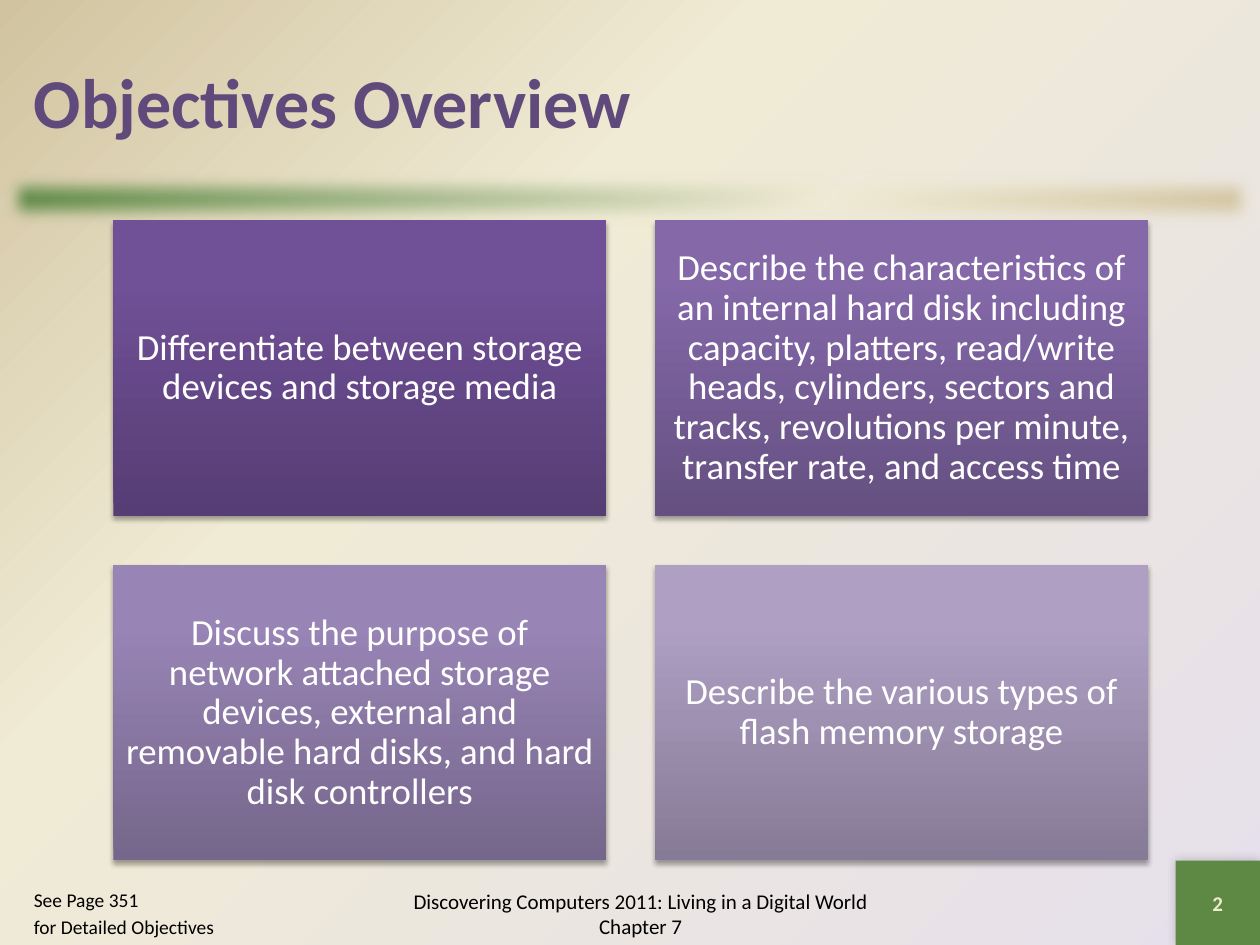
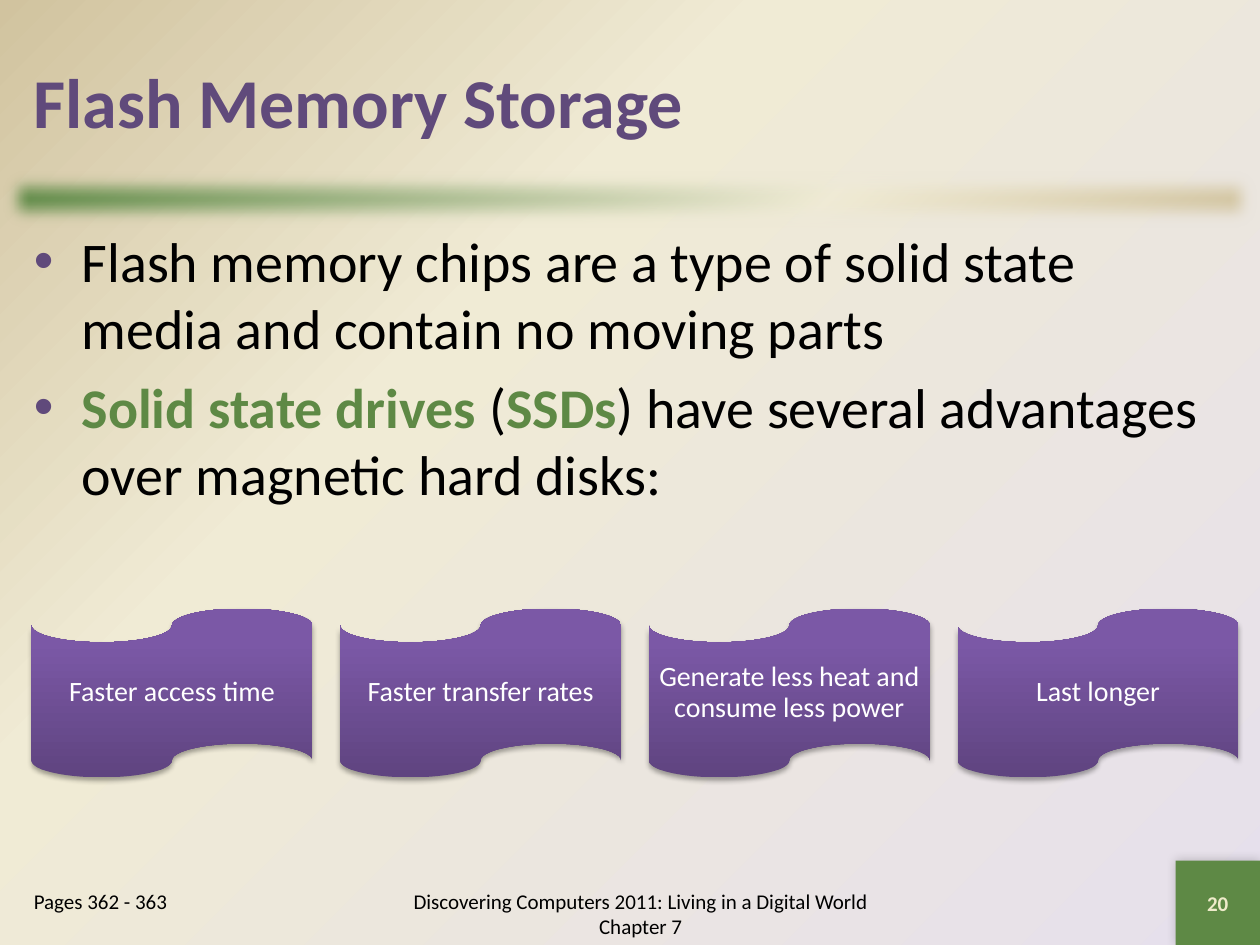
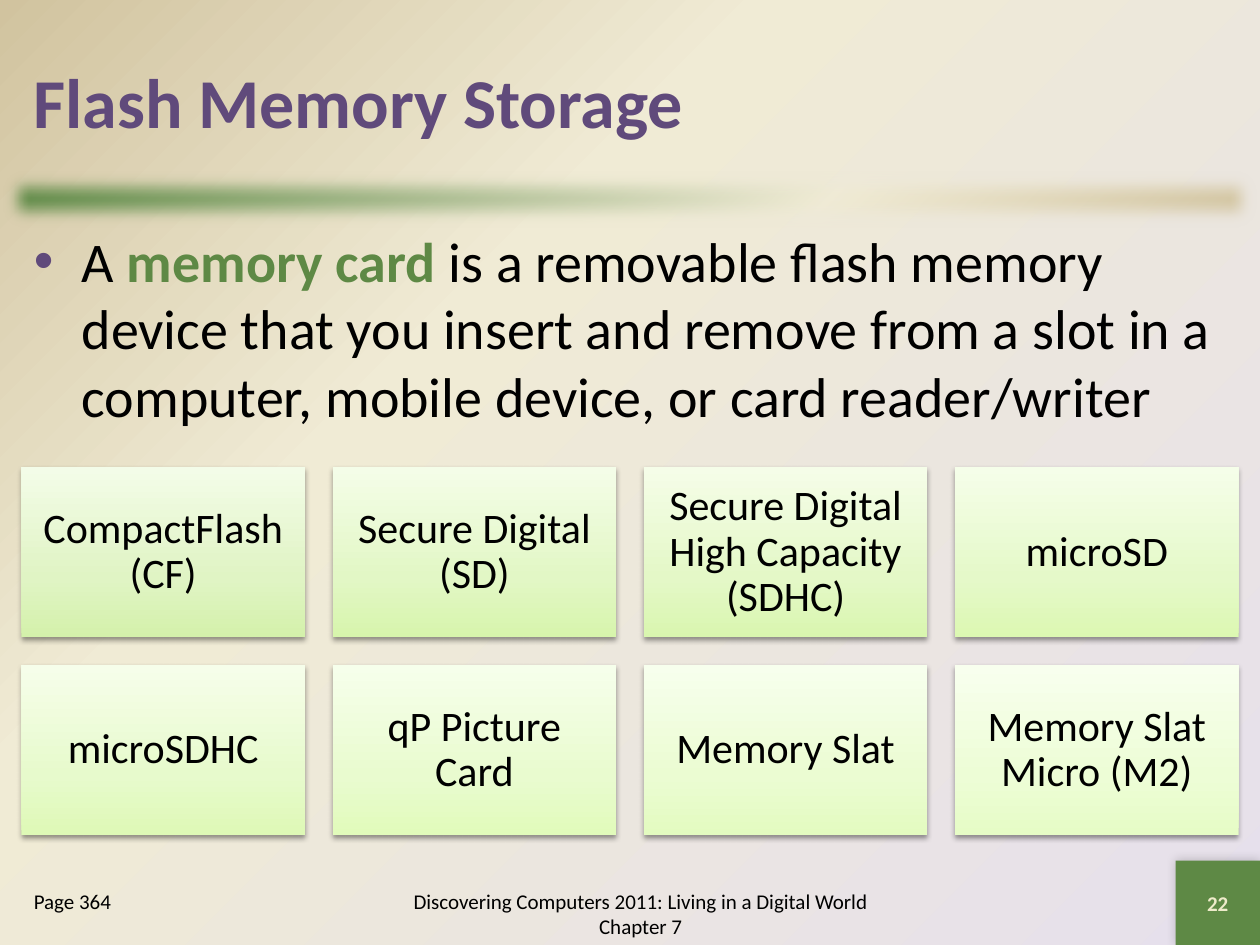
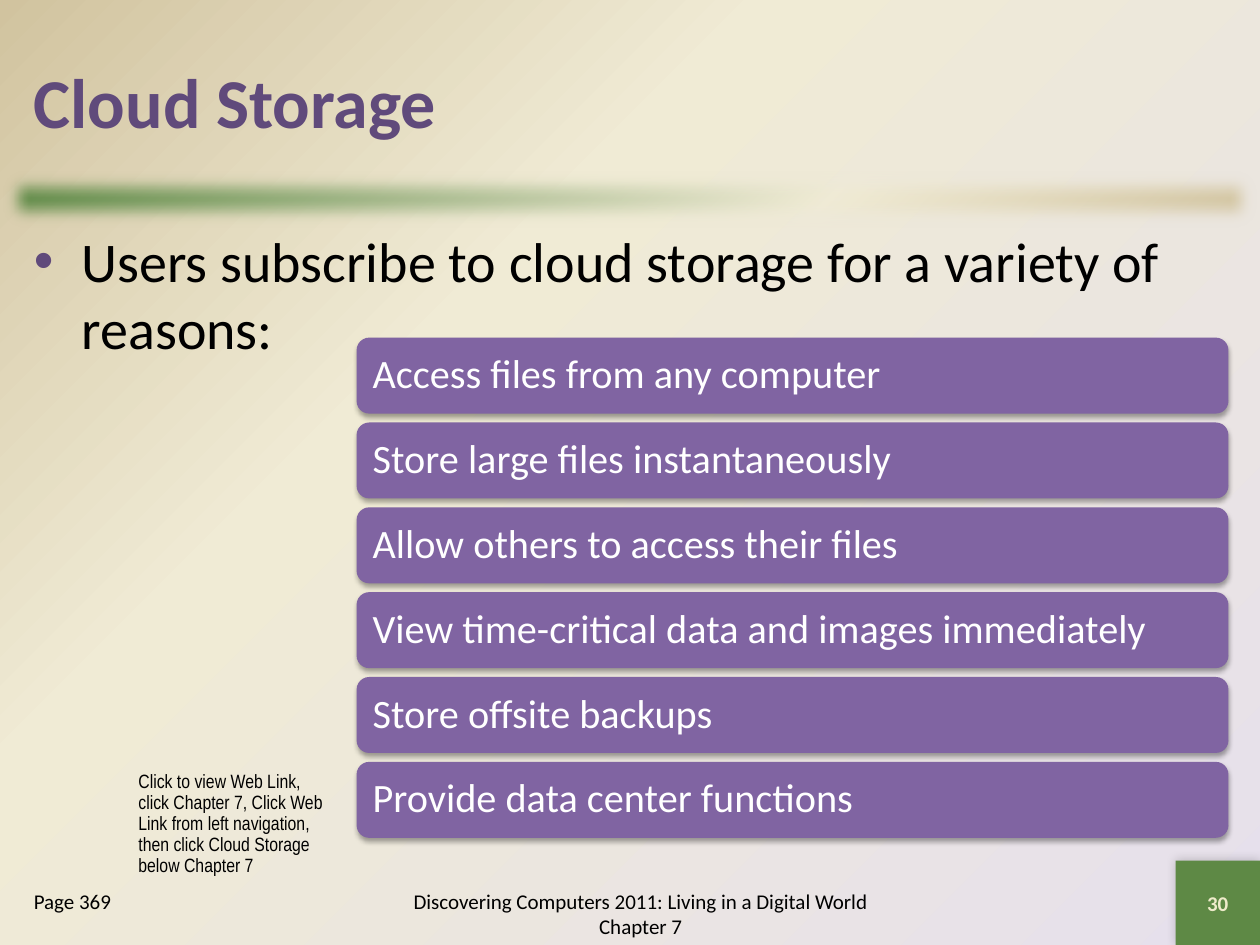
import dataclasses
import typing

import lxml.etree
import pptx
import pptx.dml.color
import pptx.enum.shapes
import pptx.enum.text
import pptx.oxml.ns
import pptx.util

Inches = pptx.util.Inches
Pt = pptx.util.Pt
SHAPE = pptx.enum.shapes.MSO_SHAPE
ALIGN = pptx.enum.text.PP_ALIGN
ANCHOR = pptx.enum.text.MSO_ANCHOR


class Box(typing.NamedTuple):
    """A rectangle in inches."""

    left: float
    top: float
    width: float
    height: float

    def lengths(self):
        """Return the four sides as slide lengths."""
        return [Inches(side) for side in self]


@dataclasses.dataclass(frozen=True)
class Theme:
    """Colours, fonts, sizes and shadows that the slides share."""

    font: str = "Calibri"
    note_font: str = "Arial Narrow"
    black: str = "000000"
    white: str = "FFFFFF"
    purple: str = "604A7B"
    bar: str = "8064A2"
    green: str = "5E8945"
    number: str = "EEEBCA"
    backdrop: tuple = ((0, "E6E0EC"), (65, "F0EBD5"), (100, "D1C39F"))
    band: tuple = ((0, "5E8945"), (65, "F0EBD5"), (100, "D1C39F"))
    tape: tuple = ((0, "5F4480"), (80, "7B58A6"), (100, "7C57A8"))
    title_size: float = 40
    body_size: float = 32
    card_size: float = 24
    bar_size: float = 23
    objective_size: float = 21
    tape_size: float = 16
    footer_size: float = 12
    small_footer_size: float = 11.1
    note_size: float = 11
    dark_shadow: tuple = (35, 3.1, 1.8, 90)
    light_shadow: tuple = (38, 3.1, 1.6, 90)
    corner_shadow: tuple = (20, 6, 0, 225)
    hanging: float = 0.38


THEME = Theme()
TITLE = Box(0.17, 0.17, 9.67, 1.25)
BAND = Box(0, 1.33, 10, 0.5)
BODY = Box(0.17, 1.75, 9.67, 5.08)
PAGES = Box(0.17, 7, 1.83, 0.5)
CREDIT = Box(3, 7, 4.17, 0.5)
CORNER = Box(9.33, 6.83, 0.67, 0.67)
BOOK = "Discovering Computers 2011: Living in a Digital World Chapter 7"


def add_node(parent, tag, **attributes):
    """Append a DrawingML element and return it."""
    node = lxml.etree.SubElement(parent, pptx.oxml.ns.qn(tag))
    for name, value in attributes.items():
        node.set(name, str(value))
    return node


def paint_gradient(fill, owner, stops, angle=None):
    """Fill with stops at an angle, or outward from the lower right corner."""
    fill.gradient()
    gradient = owner.find(".//" + pptx.oxml.ns.qn("a:gradFill"))
    for child in list(gradient):
        gradient.remove(child)
    stop_list = add_node(gradient, "a:gsLst")
    for position, colour in stops:
        stop = add_node(stop_list, "a:gs", pos=position * 1000)
        add_node(stop, "a:srgbClr", val=colour)
    if angle is None:
        centre = add_node(gradient, "a:path", path="circle")
        add_node(centre, "a:fillToRect", l=100000, t=100000)
        add_node(gradient, "a:tileRect", r=-100000, b=-100000)
    else:
        add_node(gradient, "a:lin", ang=angle * 60000, scaled=0)


def add_effect(shape, tag, **attributes):
    """Append one effect to a shape."""
    effects = shape.element.spPr.find(pptx.oxml.ns.qn("a:effectLst"))
    return add_node(effects, tag, **attributes)


def add_panel(page, kind, box, fill, angle=270, shadow=None):
    """Draw a borderless shape with a solid or gradient fill."""
    shape = page.shapes.add_shape(kind, *box.lengths())
    if isinstance(fill, str):
        shape.fill.solid()
        shape.fill.fore_color.rgb = pptx.dml.color.RGBColor.from_string(fill)
    else:
        paint_gradient(shape.fill, shape.element.spPr, fill, angle)
    shape.line.fill.background()
    shape.shadow.inherit = False
    if shadow:
        alpha, blur, distance, direction = shadow
        outer = add_effect(shape, "a:outerShdw", blurRad=Pt(blur), dist=Pt(distance),
                           dir=direction * 60000, algn="ctr", rotWithShape=0)
        colour = add_node(outer, "a:srgbClr", val=THEME.black)
        add_node(colour, "a:alpha", val=alpha * 1000)
    return shape


def set_frame(shape, anchor=ANCHOR.MIDDLE, inset=None):
    """Wrap and anchor the text of a shape, and return its frame."""
    frame = shape.text_frame
    frame.word_wrap = True
    frame.vertical_anchor = anchor
    if inset is not None:
        frame.margin_left = frame.margin_right = Inches(inset)
        frame.margin_top = frame.margin_bottom = Inches(inset)
    return frame


def add_text_box(page, box, anchor=ANCHOR.MIDDLE):
    """Add a text box and return its frame."""
    return set_frame(page.shapes.add_textbox(*box.lengths()), anchor)


def next_para(frame, align=ALIGN.LEFT):
    """Return the empty first paragraph, or a new one."""
    first = frame.paragraphs[0]
    para = frame.add_paragraph() if first.runs else first
    para.alignment = align
    return para


def add_span(para, text, size, colour=THEME.black, bold=False, font=THEME.font):
    """Add one formatted run."""
    span = para.add_run()
    span.text = text
    span.font.name = font
    span.font.size = Pt(size)
    span.font.bold = bold
    span.font.color.rgb = pptx.dml.color.RGBColor.from_string(colour)


def hang(para, size, is_first, bullet=None):
    """Give a paragraph a hanging indent, its gap and perhaps a bullet."""
    properties = para._p.get_or_add_pPr()
    properties.set("marL", str(Inches(THEME.hanging)))
    properties.set("indent", str(-Inches(THEME.hanging)))
    if not is_first:
        para.space_before = Pt(size * 0.2)
    if bullet:
        colour = add_node(properties, "a:buClr")
        add_node(colour, "a:srgbClr", val=THEME.purple)
        add_node(properties, "a:buFont", typeface="Arial")
        add_node(properties, "a:buChar", char=bullet)


def grid(box, columns, rows, gap):
    """Yield equal cells of a box, row by row."""
    width = (box.width - gap * (columns - 1)) / columns
    height = (box.height - gap * (rows - 1)) / rows
    for row in range(rows):
        for column in range(columns):
            yield Box(box.left + column * (width + gap),
                      box.top + row * (height + gap), width, height)


def add_tiles(page, cells, labels, fills, kind, size, inset, colour=THEME.white,
              shadow=THEME.dark_shadow, align=ALIGN.CENTER):
    """Draw one labelled panel in each cell."""
    for cell, label, fill in zip(cells, labels, fills):
        tile = add_panel(page, kind, cell, fill, shadow=shadow)
        para = next_para(set_frame(tile, inset=inset), align)
        para.line_spacing = 0.9
        add_span(para, label, size, colour)


def add_footer(page, number, pages, size):
    """Write the page reference, the book title and the slide number."""
    credit = next_para(add_text_box(page, CREDIT), ALIGN.CENTER)
    add_span(credit, BOOK, THEME.footer_size)
    corner = add_panel(page, SHAPE.RECTANGLE, CORNER, THEME.green,
                       shadow=THEME.corner_shadow)
    para = next_para(set_frame(corner), ALIGN.CENTER)
    add_span(para, str(number), THEME.footer_size, THEME.number, bold=True)
    frame = add_text_box(page, PAGES, ANCHOR.TOP)
    for index, line in enumerate(pages):
        para = next_para(frame)
        hang(para, size, index == 0)
        add_span(para, line, size)


def add_page(deck, title, number, pages, footer_size=THEME.footer_size):
    """Start a slide with its title, soft band and footer."""
    page = deck.slides.add_slide(deck.slide_layouts[6])
    band = add_panel(page, SHAPE.RECTANGLE, BAND, THEME.band, angle=45)
    add_effect(band, "a:softEdge", rad=Inches(0.14))
    para = next_para(add_text_box(page, TITLE))
    add_span(para, title, THEME.title_size, THEME.purple, bold=True)
    add_footer(page, number, pages, footer_size)
    return page


def add_bullets(page, box, bullets):
    """Write bullets made of (text, is_key_term) pieces."""
    frame = add_text_box(page, box, ANCHOR.TOP)
    for index, pieces in enumerate(bullets):
        para = next_para(frame)
        hang(para, THEME.body_size, index == 0, "•")
        for text, is_key_term in pieces:
            colour = THEME.green if is_key_term else THEME.black
            add_span(para, text, THEME.body_size, colour, is_key_term)


def add_note(page, box, paragraphs):
    """Write a small note whose paragraphs are lists of lines."""
    frame = add_text_box(page, box, ANCHOR.TOP)
    frame.auto_size = pptx.enum.text.MSO_AUTO_SIZE.SHAPE_TO_FIT_TEXT
    for lines in paragraphs:
        para = next_para(frame)
        para.line_spacing = 0.9
        for index, line in enumerate(lines):
            if index:
                para.add_line_break()
            add_span(para, line, THEME.note_size, font=THEME.note_font)


def build_objectives(deck):
    """Build the slide of four objectives."""
    page = add_page(deck, "Objectives Overview", 2,
                    ["See Page 351", "for Detailed Objectives"], THEME.small_footer_size)
    objectives = [
        "Differentiate between storage devices and storage media",
        "Describe the characteristics of an internal hard disk including capacity, "
        "platters, read/write heads, cylinders, sectors and tracks, revolutions per "
        "minute, transfer rate, and access time",
        "Discuss the purpose of network attached storage devices, external and "
        "removable hard disks, and hard disk controllers",
        "Describe the various types of flash memory storage",
    ]
    shades = [("563D74", "705097", "704F99"), ("655081", "8468A8", "8467AA"),
              ("75668B", "9884B5", "9984B7"), ("867B96", "AE9FC3", "AE9FC4")]
    add_tiles(page, grid(Box(0.9, 1.75, 8.21, 5.08), 2, 2, 0.39), objectives,
              [tuple(zip((0, 80, 100), shade)) for shade in shades],
              SHAPE.RECTANGLE, THEME.objective_size, 0.09)


def build_solid_state(deck):
    """Build the slide on advantages of solid state drives."""
    page = add_page(deck, "Flash Memory Storage", 20, ["Pages 362 - 363"])
    add_bullets(page, BODY, [
        [("Flash memory chips are a type of solid state media and contain no "
          "moving parts", False)],
        [("Solid state drives ", True), ("(", False), ("SSDs", True),
         (") have several advantages over magnetic hard disks:", False)],
    ])
    advantages = ["Faster access time", "Faster transfer rates",
                  "Generate less heat and consume less power", "Last longer"]
    add_tiles(page, grid(Box(0.25, 4.83, 9.58, 1.34), 4, 1, 0.22), advantages,
              [THEME.tape] * len(advantages), SHAPE.FLOWCHART_PUNCHED_TAPE,
              THEME.tape_size, 0.07)


def build_memory_cards(deck):
    """Build the slide of memory card types."""
    page = add_page(deck, "Flash Memory Storage", 22, ["Page 364"])
    add_bullets(page, BODY, [
        [("A ", False), ("memory card ", True),
         ("is a removable flash memory device that you insert and remove from a slot "
          "in a computer, mobile device, or card reader/writer", False)],
    ])
    cards = ["CompactFlash (CF)", "Secure Digital (SD)",
             "Secure Digital High Capacity (SDHC)", "microSD", "microSDHC",
             "qP Picture Card", "Memory Slat", "Memory Slat Micro (M2)"]
    shades = [("D4F1AB", "E0F4C4", "F3FCE8"), ("D7F5AC", "E2F7C5", "F4FDE8"),
              ("D9F6AF", "E4F8C7", "F5FDE8"), ("DCF8B2", "E5F9C9", "F5FEE9"),
              ("DEF9B6", "E7FACC", "F6FEEA"), ("E1FBBB", "E9FBCF", "F6FFEB"),
              ("E3FBC0", "EBFCD2", "F7FFED"), ("E6FCC6", "EDFDD6", "F8FFEE")]
    add_tiles(page, grid(Box(0.17, 3.71, 9.66, 2.92), 4, 2, 0.22), cards,
              [tuple(zip((0, 35, 100), shade)) for shade in shades],
              SHAPE.RECTANGLE, THEME.card_size, 0.1, THEME.black, THEME.light_shadow)


def build_cloud(deck):
    """Build the slide of reasons for cloud storage."""
    page = add_page(deck, "Cloud Storage", 30, ["Page 369"])
    add_bullets(page, BODY, [
        [("Users subscribe to cloud storage for a variety of reasons:", False)],
    ])
    reasons = ["Access files from any computer", "Store large files instantaneously",
               "Allow others to access their files",
               "View time-critical data and images immediately",
               "Store offsite backups", "Provide data center functions"]
    add_tiles(page, grid(Box(2.83, 2.68, 6.92, 3.97), 1, 6, 0.07), reasons,
              [THEME.bar] * len(reasons), SHAPE.ROUNDED_RECTANGLE,
              THEME.bar_size, 0.1, align=ALIGN.LEFT)
    add_note(page, Box(1, 6.08, 1.92, 0.93), [
        ["Click to view Web Link,", "click Chapter 7, Click Web ",
         "Link from left navigation,"],
        ["then click Cloud Storage"],
        ["below Chapter 7"],
    ])


def main():
    """Build and save the deck."""
    deck = pptx.Presentation()
    deck.slide_width = Inches(10)
    deck.slide_height = Inches(7.5)
    master = deck.slide_master
    paint_gradient(master.background.fill, master.element, THEME.backdrop)
    build_objectives(deck)
    build_solid_state(deck)
    build_memory_cards(deck)
    build_cloud(deck)
    deck.save("out.pptx")


if __name__ == "__main__":
    main()
